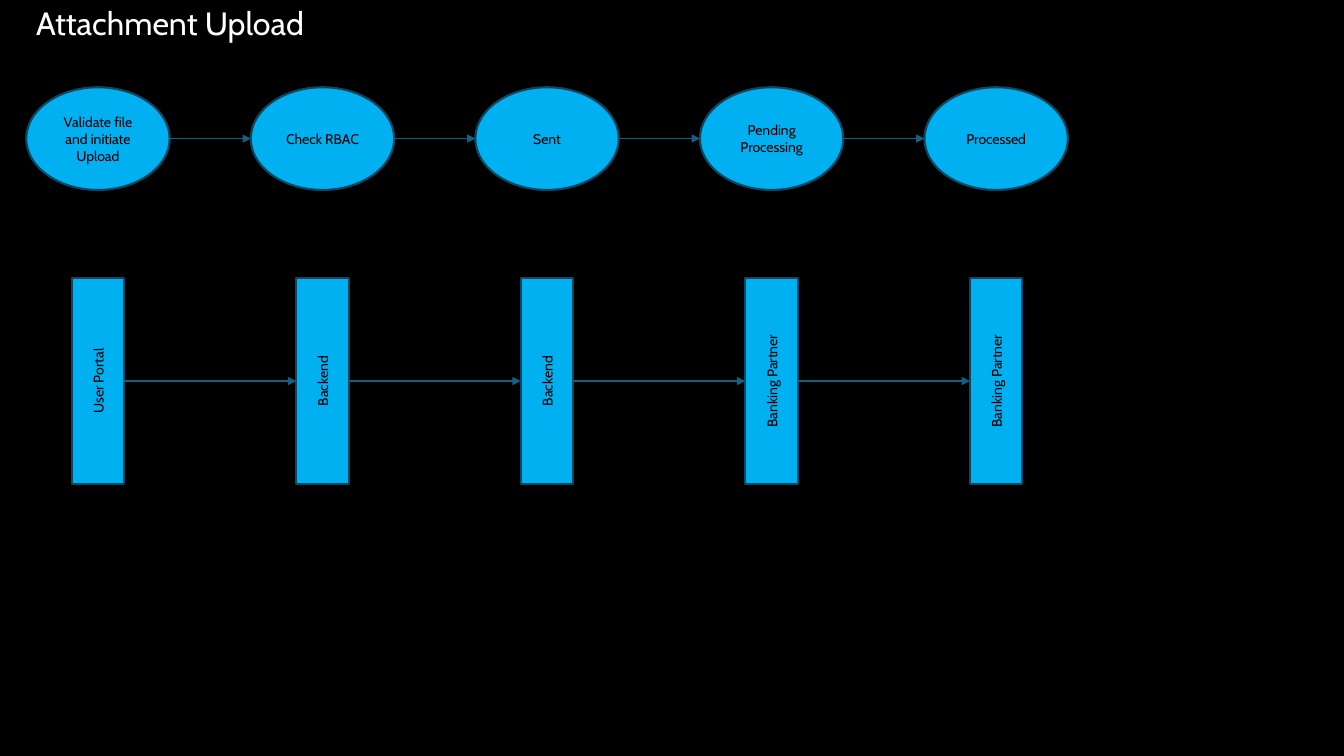
import pptx
import pptx.util
import pptx.dml.color
import pptx.enum.shapes
import pptx.enum.text
import pptx.oxml.ns
import lxml.etree

Pt = pptx.util.Pt
RGBColor = pptx.dml.color.RGBColor
SHAPE = pptx.enum.shapes.MSO_SHAPE
ANCHOR = pptx.enum.text.MSO_ANCHOR
ALIGN = pptx.enum.text.PP_ALIGN

BLACK = RGBColor(0x00, 0x00, 0x00)
WHITE = RGBColor(0xFF, 0xFF, 0xFF)
SKY = RGBColor(0x00, 0xB0, 0xF0)
OUTLINE = RGBColor(0x10, 0x47, 0x60)
ARROW = RGBColor(0x15, 0x60, 0x82)
FONT = "Cabin"

FIRST_CENTER = 70
PITCH = 160.4
STATE_WIDTH, STATE_HEIGHT, STATE_CENTER = 102.4, 73.4, 99
SYSTEM_LENGTH, SYSTEM_THICKNESS, SYSTEM_CENTER = 147.6, 37.6, 272.2

STATES = [
    "Validate file and initiate Upload",
    "Check RBAC",
    "Sent",
    "Pending Processing",
    "Processed",
]
SYSTEMS = ["User Portal", "Backend", "Backend", "Banking Partner", "Banking Partner"]


def write_text(shape, text, size, color, align):
    frame = shape.text_frame
    frame.word_wrap = True
    frame.vertical_anchor = ANCHOR.MIDDLE
    para = frame.paragraphs[0]
    para.text = text
    para.alignment = align
    para.font.name = FONT
    para.font.size = Pt(size)
    para.font.color.rgb = color
    return para


def add_title(page, text):
    box = page.shapes.add_textbox(Pt(18.7), Pt(-2.2), Pt(604.8), Pt(40.3))
    para = write_text(box, text, 23, WHITE, ALIGN.LEFT)
    para.line_spacing = 0.9


def add_node(page, kind, center_x, center_y, width, height, text, rotation=0):
    node = page.shapes.add_shape(
        kind, Pt(center_x - width / 2), Pt(center_y - height / 2), Pt(width), Pt(height)
    )
    node.rotation = rotation
    node.shadow.inherit = False
    node.fill.solid()
    node.fill.fore_color.rgb = SKY
    node.line.color.rgb = OUTLINE
    node.line.width = Pt(1.5)
    write_text(node, text, 10, BLACK, ALIGN.CENTER)


def add_arrow(page, start_x, end_x, y):
    arrow = page.shapes.add_connector(
        pptx.enum.shapes.MSO_CONNECTOR.STRAIGHT, Pt(start_x), Pt(y), Pt(end_x), Pt(y)
    )
    arrow.line.color.rgb = ARROW
    arrow.line.width = Pt(1)
    qn = pptx.oxml.ns.qn
    lxml.etree.SubElement(arrow.line._get_or_add_ln(), qn("a:tailEnd"), type="triangle")
    lxml.etree.SubElement(arrow._element.spPr, qn("a:effectLst"))


def add_flow(page, kind, texts, center_y, width, height, rotation=0):
    visible_width = height if rotation else width
    for index, text in enumerate(texts):
        center_x = FIRST_CENTER + index * PITCH
        add_node(page, kind, center_x, center_y, width, height, text, rotation)
        if index:
            start_x = center_x - PITCH + visible_width / 2
            add_arrow(page, start_x, center_x - visible_width / 2, center_y)


def main():
    deck = pptx.Presentation()
    deck.slide_width = Pt(960)
    deck.slide_height = Pt(540)
    page = deck.slides.add_slide(deck.slide_layouts[6])
    page.background.fill.solid()
    page.background.fill.fore_color.rgb = BLACK
    add_title(page, "Attachment Upload")
    add_flow(page, SHAPE.OVAL, STATES, STATE_CENTER, STATE_WIDTH, STATE_HEIGHT)
    add_flow(
        page, SHAPE.RECTANGLE, SYSTEMS, SYSTEM_CENTER,
        SYSTEM_LENGTH, SYSTEM_THICKNESS, rotation=270,
    )
    deck.save("out.pptx")


if __name__ == "__main__":
    main()
